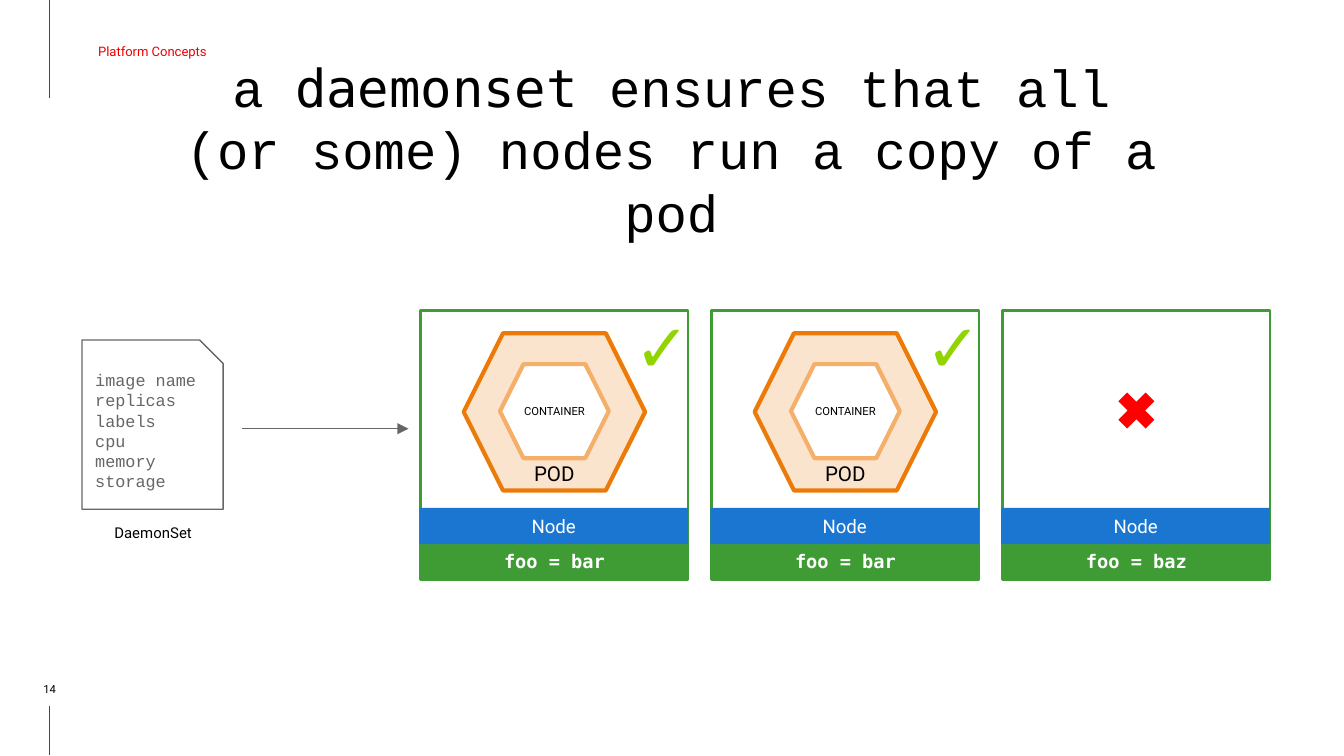
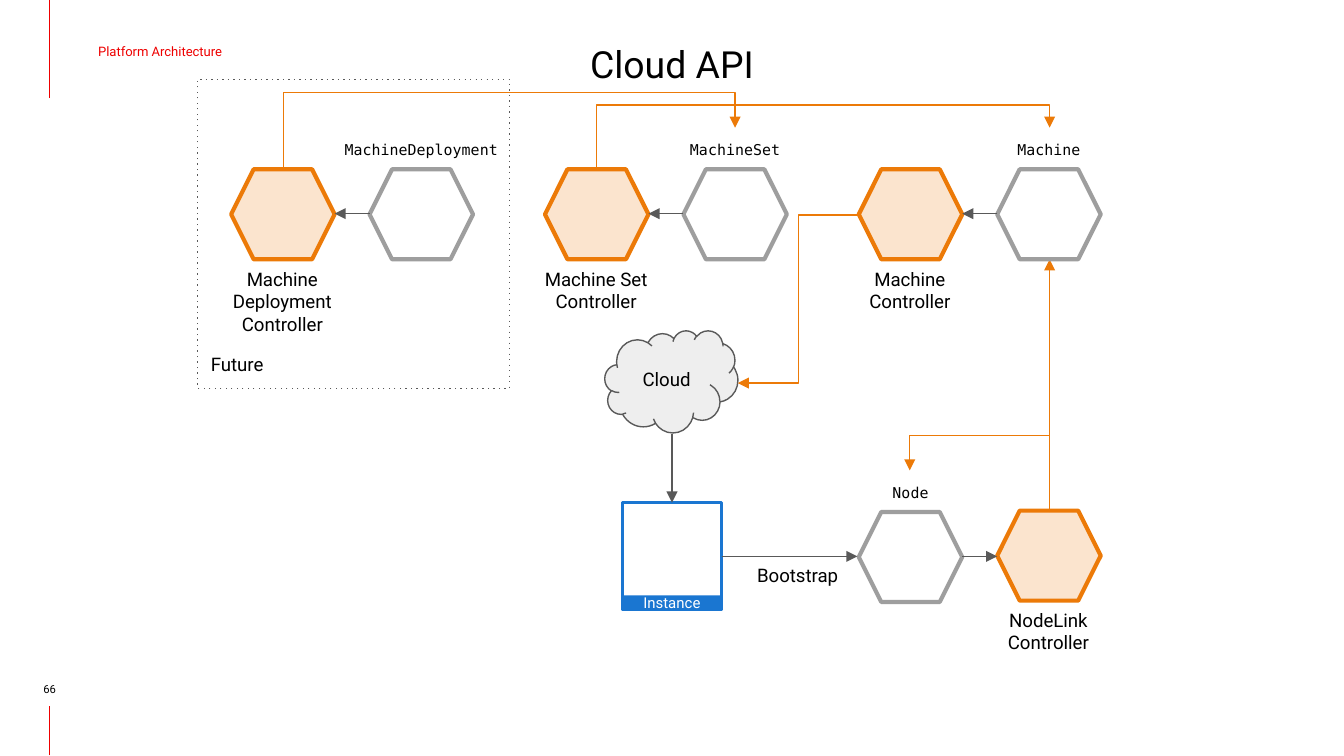
from lxml import etree
from pptx import Presentation
from pptx.dml.color import RGBColor
from pptx.enum.shapes import MSO_CONNECTOR, MSO_SHAPE
from pptx.enum.text import MSO_ANCHOR, PP_ALIGN
from pptx.oxml.ns import qn
from pptx.util import Inches, Pt

LEFT, CENTER = PP_ALIGN.LEFT, PP_ALIGN.CENTER
TOP, MIDDLE, BOTTOM = MSO_ANCHOR.TOP, MSO_ANCHOR.MIDDLE, MSO_ANCHOR.BOTTOM
STRAIGHT, ELBOW = MSO_CONNECTOR.STRAIGHT, MSO_CONNECTOR.ELBOW
RECTANGLE, HEXAGON = MSO_SHAPE.RECTANGLE, MSO_SHAPE.HEXAGON
SNIPPED, CROSS, CLOUD = MSO_SHAPE.SNIP_1_RECTANGLE, MSO_SHAPE.MATH_MULTIPLY, MSO_SHAPE.CLOUD

SANS, MONO, COURIER, CALIBRI = "Roboto", "DejaVu Sans Mono", "Courier New", "Calibri"
BLACK, WHITE, RED, CROSS_RED = "000000", "FFFFFF", "EE0000", "FF0000"
GREEN, CHECK_GREEN, BLUE = "3F9C35", "92D400", "1A76D1"
ORANGE, PALE_ORANGE, LIGHT_ORANGE = "EC7A08", "FBE4CE", "F4AF6B"
GRAY, DARK_GRAY, MID_GRAY, PALE_GRAY = "666666", "595959", "9E9E9E", "EEEEEE"


def color(hex_string):
    return RGBColor.from_string(hex_string)


def set_font(font, size, name, ink, bold=False):
    font.size = Pt(size)
    font.name = name
    font.color.rgb = color(ink)
    font.bold = bold


def set_frame(frame, anchor, insets):
    frame.word_wrap = True
    frame.vertical_anchor = anchor
    frame.margin_left, frame.margin_top, frame.margin_right, frame.margin_bottom = map(Inches, insets)


def write(shape, lines, size, name=SANS, ink=BLACK, bold=False, align=CENTER,
          anchor=MIDDLE, insets=(0.1, 0.1, 0.1, 0.1)):
    frame = shape.text_frame
    set_frame(frame, anchor, insets)
    for index, line in enumerate(lines):
        para = frame.add_paragraph() if index else frame.paragraphs[0]
        para.text = line
        para.alignment = align
        set_font(para.font, size, name, ink, bold)


def add_text(page, at, text, size, anchor=TOP, **style):
    box = page.shapes.add_textbox(*map(Inches, at))
    write(box, [text], size, anchor=anchor, **style)
    return box


def add_block(page, kind, at, fill=None, line=None, width=0.75):
    shape = page.shapes.add_shape(kind, *map(Inches, at))
    shape.shadow.inherit = False
    if fill:
        shape.fill.solid()
        shape.fill.fore_color.rgb = color(fill)
    else:
        shape.fill.background()
    if line:
        shape.line.color.rgb = color(line)
        shape.line.width = Pt(width)
    else:
        shape.line.fill.background()
    return shape


def add_band(page, at, text, fill, size=10, **style):
    band = add_block(page, RECTANGLE, at, fill)
    write(band, [text], size, ink=WHITE, insets=(0, 0, 0, 0), **style)


def add_line(page, start, end, ink, arrow=True, kind=STRAIGHT):
    line = page.shapes.add_connector(kind, *map(Inches, start + end))
    line.line.color.rgb = color(ink)
    line.line.width = Pt(0.75)
    properties = line._element.spPr
    if arrow:
        etree.SubElement(properties.find(qn("a:ln")), qn("a:tailEnd"), type="triangle")
    etree.SubElement(properties, qn("a:effectLst"))
    return line


def set_bend(line, share):
    guides = line._element.spPr.find(qn("a:prstGeom")).find(qn("a:avLst"))
    etree.SubElement(guides, qn("a:gd"), name="adj1", fmla=f"val {round(share * 100000)}")


def add_side_elbow(page, start, end, bend_x):
    line = add_line(page, start, end, ORANGE, kind=ELBOW)
    set_bend(line, (bend_x - start[0]) / (end[0] - start[0]))


def add_rising_elbow(page, start, end, bend_y):
    center_x, center_y = (start[0] + end[0]) / 2, (start[1] + end[1]) / 2
    half_rise, half_run = (start[1] - end[1]) / 2, abs(end[0] - start[0]) / 2
    rightward = end[0] > start[0]
    side = half_rise if rightward else -half_rise
    line = add_line(page, (center_x - side, center_y - half_run),
                    (center_x + side, center_y + half_run), ORANGE, kind=ELBOW)
    turn = 270 if rightward else 90
    line._element.spPr.find(qn("a:xfrm")).set("rot", str(turn * 60000))
    set_bend(line, (start[1] - bend_y) / (start[1] - end[1]))


def add_page(deck, section, number):
    page = deck.slides.add_slide(deck.slide_layouts[6])
    for start_y, end_y in ((0.73, 0), (5.62, 5.25)):
        add_line(page, (0.37, start_y), (0.37, end_y), RED, arrow=False)
    add_text(page, (0.37, 0.05, 4.22, 0.67), section, 7, ink=RED, align=LEFT,
             anchor=MIDDLE, insets=(0.36, 0.07, 0.07, 0.07))
    add_text(page, (0.07, 5.06, 0.6, 0.12), number, 6, anchor=BOTTOM, insets=(0, 0, 0, 0))
    return page


def add_daemonset_title(page):
    box = page.shapes.add_textbox(*map(Inches, (0.9, 0.75, 8.19, 1.16)))
    set_frame(box.text_frame, BOTTOM, (0.1, 0.1, 0.1, 0.1))
    para = box.text_frame.paragraphs[0]
    para.alignment = CENTER
    for text, name in (("a ", COURIER), ("daemonset", MONO), (" ensures that all", COURIER),
                       (None, None), ("(or some) nodes run a copy of a pod", COURIER)):
        if text is None:
            para.add_line_break()
            continue
        span = para.add_run()
        span.text = text
        set_font(span.font, 28, name, BLACK)


def add_node(page, left, label):
    add_block(page, RECTANGLE, (left, 2.31, 1.99, 2), line=GREEN, width=1.5)
    add_band(page, (left, 4.04, 1.99, 0.27), label, GREEN, name=MONO, bold=True)
    add_band(page, (left - 0.01, 3.78, 2, 0.27), "Node", BLUE)


def add_pod(page, left):
    add_block(page, HEXAGON, (left + 0.32, 2.48, 1.35, 1.17), PALE_ORANGE, ORANGE, 2.25)
    add_text(page, (left + 0.59, 3.42, 0.81, 0.2), "POD", 11, anchor=MIDDLE, insets=(0, 0, 0, 0))
    container = add_block(page, HEXAGON, (left + 0.59, 2.71, 0.81, 0.7), WHITE, LIGHT_ORANGE, 2.25)
    write(container, ["CONTAINER"], 6, insets=(0, 0, 0, 0))
    add_text(page, (left + 1.49, 2.17, 0.5, 0.5), "✓", 36, name=CALIBRI, ink=CHECK_GREEN, bold=True)


def add_controller(page, left, top, label):
    add_block(page, HEXAGON, (left, top, 0.77, 0.67), PALE_ORANGE, ORANGE, 2.25)
    add_text(page, (left - 0.13, top + 0.63, 1.02, 0.31), label, 10)


def add_resource(page, left, top, label):
    add_block(page, HEXAGON, (left, top, 0.77, 0.67), WHITE, MID_GRAY, 2.25)
    add_text(page, (left - 0.34, top - 0.28, 1.45, 0.31), label, 8, name=MONO)


def build_daemonset_page(deck):
    page = add_page(deck, "Platform Concepts", "14")
    add_daemonset_title(page)

    manifest = add_block(page, SNIPPED, (0.61, 2.53, 1.05, 1.26), WHITE, GRAY)
    write(manifest, ["image name", "replicas", "labels\vcpu\vmemory", "storage"], 9,
          name=COURIER, ink=GRAY, align=LEFT)
    add_text(page, (0.47, 3.83, 1.34, 0.24), "DaemonSet", 8)
    add_line(page, (1.8, 3.19), (3.04, 3.19), GRAY)

    for index, label in enumerate(("foo = bar", "foo = bar", "foo = baz")):
        left = 3.13 + 2.165 * index
        add_node(page, left, label)
        if label == "foo = bar":
            add_pod(page, left)
        else:
            add_block(page, CROSS, (left + 0.8, 2.86, 0.39, 0.39), CROSS_RED)


def build_cloud_page(deck):
    page = add_page(deck, "Platform Architecture", "66")
    title = add_text(page, (1.44, 0.21, 7.12, 0.79), "Cloud API", 20, insets=(0, 0, 0, 0))
    title.text_frame.paragraphs[0].line_spacing = 1.3

    future = add_block(page, RECTANGLE, (1.47, 0.59, 2.32, 2.3), line=DARK_GRAY)
    etree.SubElement(future._element.spPr.find(qn("a:ln")), qn("a:prstDash"), val="dot")
    write(future, ["Future"], 10, align=LEFT, anchor=BOTTOM)

    add_line(page, (7.81, 3.81), (7.81, 1.93), ORANGE)
    pairs = (("Machine Deployment Controller", "MachineDeployment"),
             ("Machine Set Controller", "MachineSet"),
             ("Machine Controller", "Machine"))
    for index, (controller, resource) in enumerate(pairs):
        left = 1.72 + 2.335 * index
        add_controller(page, left, 1.26, controller)
        add_resource(page, left + 1.03, 1.26, resource)
        add_line(page, (left + 1.03, 1.59), (left + 0.77, 1.59), DARK_GRAY)
    add_rising_elbow(page, (2.11, 1.26), (5.47, 0.95), 0.69)
    add_rising_elbow(page, (4.44, 1.26), (7.81, 0.95), 0.78)

    cloud = add_block(page, CLOUD, (4.5, 2.46, 0.99, 0.76), PALE_GRAY, DARK_GRAY)
    write(cloud, ["Cloud"], 10)
    add_side_elbow(page, (6.39, 1.6), (5.49, 2.85), 5.94)

    add_block(page, RECTANGLE, (4.63, 3.74, 0.74, 0.8), line=BLUE, width=1.5)
    add_band(page, (4.63, 4.43, 0.74, 0.11), "Instance", BLUE, size=8)
    add_text(page, (5.15, 4.11, 1.57, 0.53), "Bootstrap", 10)

    add_controller(page, 7.42, 3.8, "NodeLink Controller")
    add_resource(page, 6.39, 3.81, "Node")
    for start, end in (((5, 3.23), (5, 3.74)), ((5.37, 4.14), (6.38, 4.14)),
                       ((7.16, 4.14), (7.42, 4.14))):
        add_line(page, start, end, DARK_GRAY)
    add_rising_elbow(page, (7.81, 3.81), (6.77, 3.5), 3.24)


def main():
    deck = Presentation()
    deck.slide_width = Inches(10)
    deck.slide_height = deck.slide_width * 9 // 16
    build_daemonset_page(deck)
    build_cloud_page(deck)
    deck.save("out.pptx")


if __name__ == "__main__":
    main()
